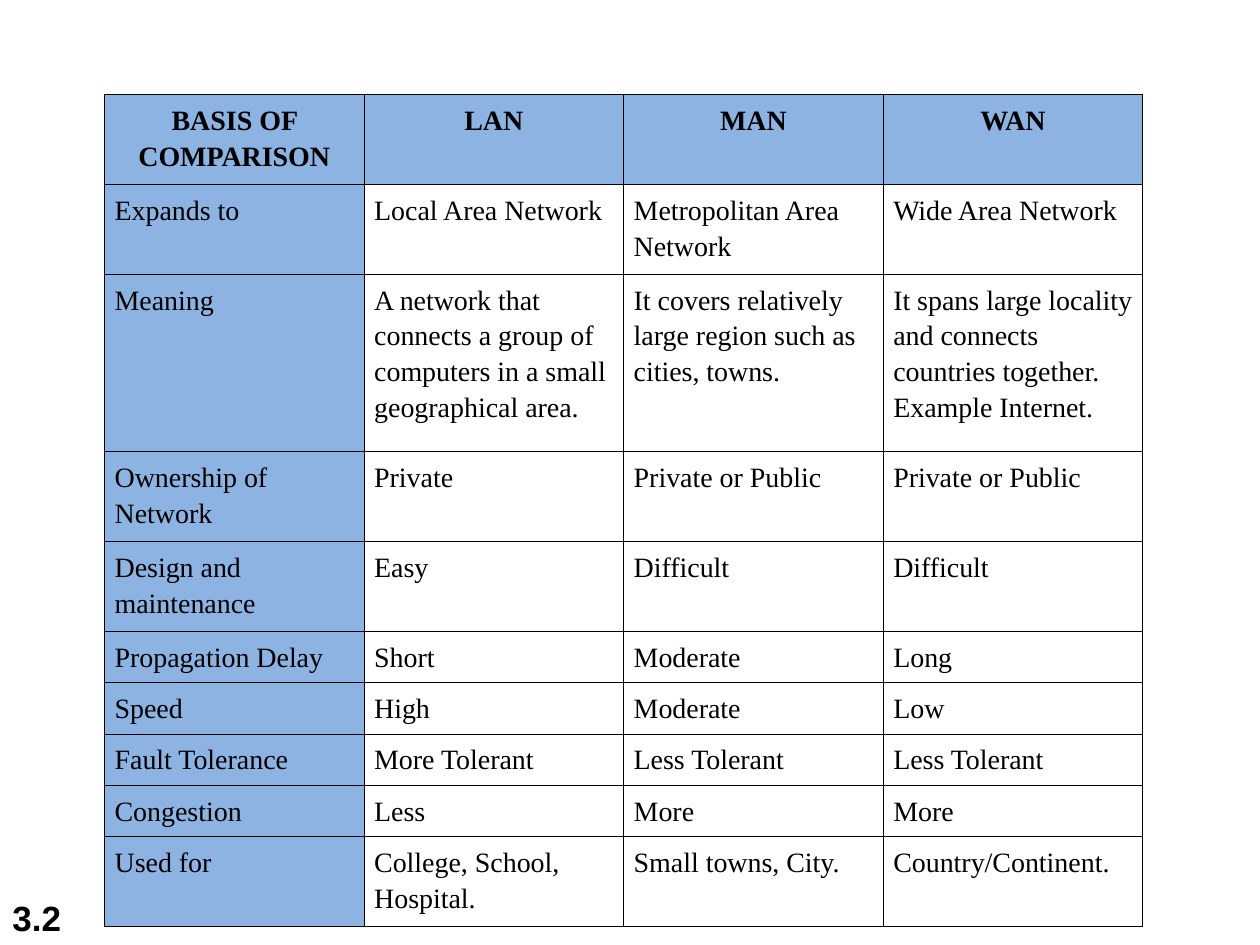
from typing import NamedTuple

from lxml import etree
from pptx import Presentation
from pptx.dml.color import RGBColor
from pptx.enum.text import MSO_ANCHOR, PP_ALIGN
from pptx.oxml.ns import qn
from pptx.util import Inches, Pt

BOTTOM = MSO_ANCHOR.BOTTOM
LEFT, CENTER = PP_ALIGN.LEFT, PP_ALIGN.CENTER
COLORS = {"text": "000000", "border": "000000", "label": "8DB3E2"}
BORDER_WIDTH = Pt(0.45)
COLUMN_WIDTH = 2.06


class Row(NamedTuple):
    height: float
    basis: str
    lan: str
    man: str
    wan: str


ROWS = [
    Row(0.7, "BASIS OF COMPARISON", "LAN", "MAN", "WAN"),
    Row(0.7, "Expands to", "Local Area Network", "Metropolitan Area Network",
        "Wide Area Network"),
    Row(1.41, "Meaning",
        "A network that connects a group of computers in a small geographical area.",
        "It covers relatively large region such as cities, towns.",
        "It spans large locality and connects countries together. Example Internet."),
    Row(0.71, "Ownership of Network", "Private", "Private or Public", "Private or Public"),
    Row(0.7, "Design and maintenance", "Easy", "Difficult", "Difficult"),
    Row(0.35, "Propagation Delay", "Short", "Moderate", "Long"),
    Row(0.35, "Speed", "High", "Moderate", "Low"),
    Row(0.35, "Fault Tolerance", "More Tolerant", "Less Tolerant", "Less Tolerant"),
    Row(0.35, "Congestion", "Less", "More", "More"),
    Row(0.7, "Used for", "College, School, Hospital.", "Small towns, City.",
        "Country/Continent."),
]


def write(tf, text: str, *, font: str, size: float, bold: bool = False,
          align=LEFT, spacing: float = 1.0) -> None:
    p = tf.paragraphs[0]
    p.alignment = align
    p.line_spacing = spacing
    r = p.add_run()
    r.text = text
    r.font.name = font
    r.font.size = Pt(size)
    r.font.bold = bold
    r.font.color.rgb = RGBColor.from_string(COLORS["text"])


def add_borders(cell) -> None:
    props = cell._tc.get_or_add_tcPr()
    for side in ("lnL", "lnR", "lnT", "lnB"):
        line = etree.SubElement(props, qn(f"a:{side}"), w=str(int(BORDER_WIDTH)))
        fill = etree.SubElement(line, qn("a:solidFill"))
        etree.SubElement(fill, qn("a:srgbClr"), val=COLORS["border"])


def fill_cell(cell, text: str, *, header: bool, label: bool) -> None:
    cell.margin_left = cell.margin_right = Inches(0.08)
    cell.margin_top = cell.margin_bottom = Inches(0.05)
    add_borders(cell)
    if label:
        cell.fill.solid()
        cell.fill.fore_color.rgb = RGBColor.from_string(COLORS["label"])
    else:
        cell.fill.background()
    write(cell.text_frame, text, font="Times New Roman", size=16, bold=header,
          align=CENTER if header else LEFT, spacing=1.15)


def add_comparison(s, rows: list[Row]) -> None:
    columns = len(rows[0]) - 1
    table = s.shapes.add_table(
        len(rows), columns, Inches(0.83), Inches(0.75),
        Inches(COLUMN_WIDTH * columns), Inches(sum(row.height for row in rows))).table
    table.horz_banding = False
    for column in table.columns:
        column.width = Inches(COLUMN_WIDTH)
    for i, (height, *texts) in enumerate(rows):
        table.rows[i].height = Inches(height)
        for j, text in enumerate(texts):
            fill_cell(table.cell(i, j), text, header=i == 0, label=i == 0 or j == 0)


def add_page_number(s, text: str) -> None:
    tf = s.shapes.add_textbox(Inches(0), Inches(7), Inches(2.08), Inches(0.5)).text_frame
    tf.word_wrap = True
    tf.vertical_anchor = BOTTOM
    write(tf, text, font="Arial", size=20, bold=True)


def main() -> None:
    prs = Presentation()
    prs.slide_width, prs.slide_height = Inches(10), Inches(7.5)
    s = prs.slides.add_slide(prs.slide_layouts[6])
    add_page_number(s, "3.2")
    add_comparison(s, ROWS)
    prs.save("out.pptx")


if __name__ == "__main__":
    main()
